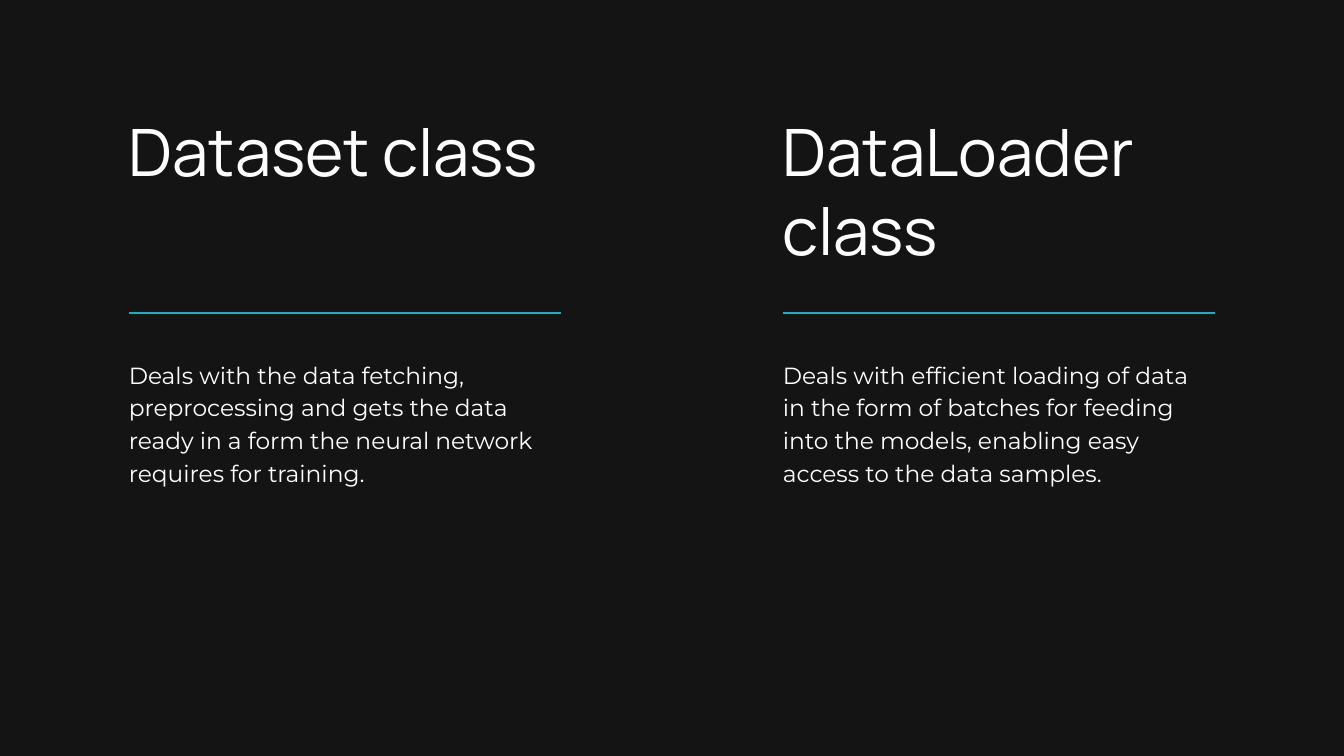
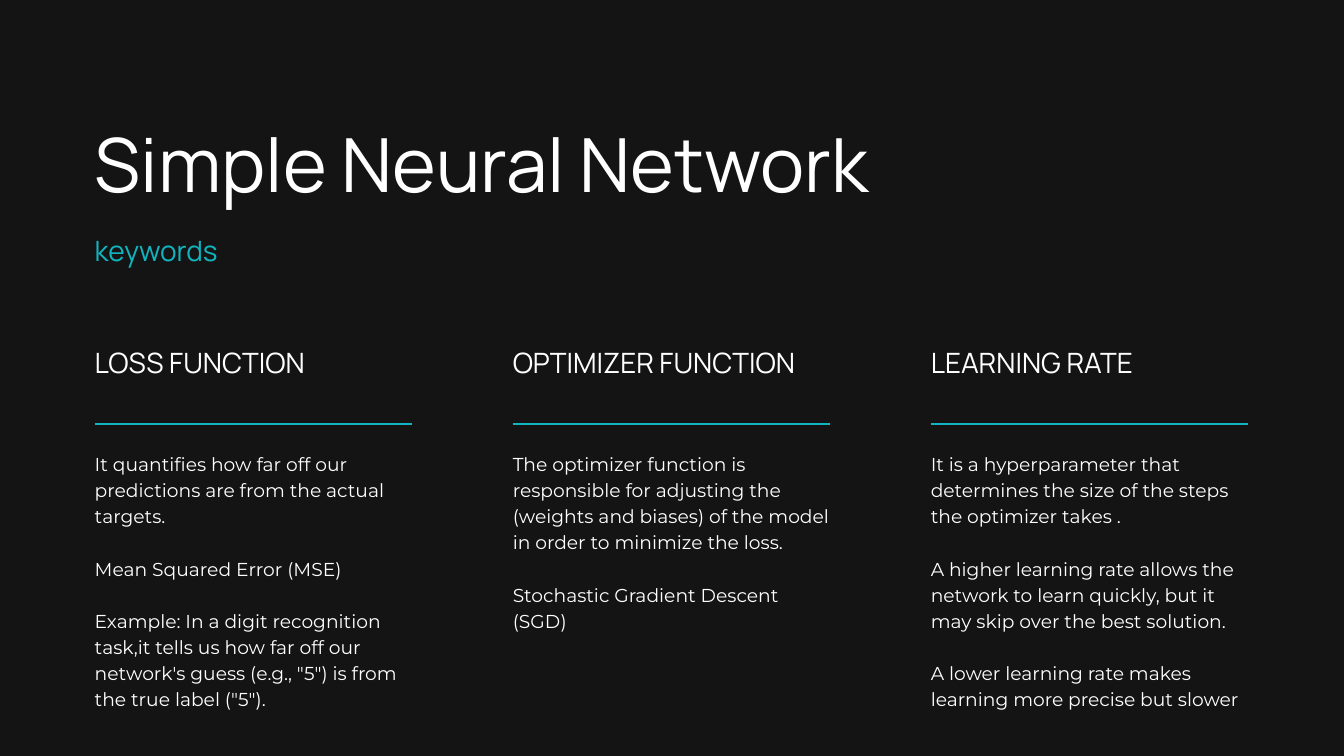
from lxml import etree
from pptx import Presentation, util as u
from pptx.dml.color import RGBColor
from pptx.enum import shapes, text
from pptx.oxml import ns, parse_xml

BACKGROUND, WHITE, TEAL = "141414", "FFFFFF", "10B5BF"
HEADING_FONT, BODY_FONT = "Manrope", "Montserrat"
PLAIN_TABLE = "{2D5ABB26-0587-4C30-8999-92F81FD0307C}"

CLASSES = [
    ("Dataset class",
     "Deals with the data fetching, preprocessing and gets the data ready in a form "
     "the neural network requires for training."),
    ("DataLoader class",
     "Deals with efficient loading of data in the form of batches for feeding into "
     "the models, enabling easy access to the data samples."),
]
KEYWORDS = [
    ("LOSS FUNCTION", [
        "It quantifies how far off our predictions are from the actual targets.",
        "Mean Squared Error (MSE)",
        "Example: In a digit recognition task,it tells us how far off our network's "
        "guess (e.g., \"5\") is from the true label (\"5\")."]),
    ("OPTIMIZER FUNCTION", [
        "The optimizer function is responsible for adjusting the (weights and biases) "
        "of the model in order to minimize the loss.",
        "Stochastic Gradient Descent (SGD)"]),
    ("LEARNING RATE", [
        "It is a hyperparameter that determines the size of the steps the optimizer takes .",
        "A higher learning rate allows the network to learn quickly, but it may skip "
        "over the best solution.",
        "A lower learning rate makes learning more precise but slower"]),
]


def color(value):
    return RGBColor.from_string(value)


class Deck:
    """Hold the shared style and add elements to the current slide."""

    def __init__(self):
        self.presentation = Presentation()
        self.presentation.slide_width = u.Pt(1440)
        self.presentation.slide_height = u.Pt(810)
        fill = self.presentation.slide_master.background.fill
        fill.solid()
        fill.fore_color.rgb = color(BACKGROUND)
        self.slide = None

    def add_slide(self):
        self.slide = self.presentation.slides.add_slide(self.presentation.slide_layouts[5])

    def set_paragraphs(self, frame, paragraphs, size, leading, font=HEADING_FONT, ink=WHITE):
        frame.word_wrap = True
        for index, content in enumerate(paragraphs):
            paragraph = frame.add_paragraph() if index else frame.paragraphs[0]
            paragraph.text = content
            paragraph.alignment = text.PP_ALIGN.LEFT
            paragraph.line_spacing = u.Pt(leading)
            paragraph.space_before = u.Pt(leading if index else 0)
            paragraph.font.size = u.Pt(size)
            paragraph.font.name = font
            paragraph.font.color.rgb = color(ink)

    def fill_box(self, shape, content, size, leading, **style):
        frame = shape.text_frame
        frame.margin_left = frame.margin_right = frame.margin_top = frame.margin_bottom = 0
        frame.vertical_anchor = text.MSO_ANCHOR.TOP
        frame.auto_size = text.MSO_AUTO_SIZE.NONE
        self.set_paragraphs(frame, [content], size, leading, **style)

    def title(self, box, content, size, leading):
        shape = self.slide.shapes.title
        shape.left, shape.top, shape.width, shape.height = map(u.Pt, box)
        self.fill_box(shape, content, size, leading)

    def text(self, box, content, size, leading, **style):
        shape = self.slide.shapes.add_textbox(*map(u.Pt, box))
        self.fill_box(shape, content, size, leading, **style)

    def rule(self, left, top, width):
        line = self.slide.shapes.add_connector(
            shapes.MSO_CONNECTOR.STRAIGHT, *map(u.Pt, (left, top, left + width, top)))
        line.line.color.rgb = color(TEAL)
        line.line.width = u.Pt(2)
        etree.SubElement(line._element.spPr, ns.qn("a:effectLst"))

    def underline(self, cell):
        cell._tc.get_or_add_tcPr().insert(0, parse_xml(
            f'<a:lnB {ns.nsdecls("a")} w="{u.Pt(1.5)}"><a:solidFill>'
            f'<a:srgbClr val="{TEAL}"/></a:solidFill></a:lnB>'))

    def keyword_table(self, left, top, keywords, column, gap, heights):
        count = 2 * len(keywords) - 1
        widths = [gap if index % 2 else column for index in range(count)]
        table = self.slide.shapes.add_table(
            len(heights), count, *map(u.Pt, (left, top, sum(widths), sum(heights)))).table
        table.first_row = table.horz_banding = False
        table._tbl.tblPr.find(ns.qn("a:tableStyleId")).text = PLAIN_TABLE
        for table_column, width in zip(table.columns, widths):
            table_column.width = u.Pt(width)
        for row, height in zip(table.rows, heights):
            row.height = u.Pt(height)
        for cell in table.iter_cells():
            cell.fill.background()
            cell.margin_left = cell.margin_right = cell.margin_top = cell.margin_bottom = 0
        for index, (name, notes) in enumerate(keywords):
            heading, body = table.cell(0, 2 * index), table.cell(1, 2 * index)
            heading.vertical_anchor = text.MSO_ANCHOR.MIDDLE
            self.underline(heading)
            self.set_paragraphs(heading.text_frame, [name], 30, 36)
            body.vertical_anchor = text.MSO_ANCHOR.TOP
            body.margin_top = u.Pt(28)
            self.set_paragraphs(body.text_frame, notes, 20, 28, font=BODY_FONT)


def main():
    deck = Deck()

    deck.add_slide()
    width = 463.5
    for index, (name, description) in enumerate(CLASSES):
        left = 138 + index * 700.8
        add_heading = deck.text if index else deck.title
        add_heading((left, 119.5, width, 166.5), name, 70, 84)
        deck.text((left, 381.6, width, 136), description, 25, 35, font=BODY_FONT)
        deck.rule(left, 335.5, width)

    deck.add_slide()
    left = 101.5
    deck.keyword_table(left, 327.6, KEYWORDS, 340.4, 107.5, (126.7, 337.7))
    deck.text((left, 249.8, 1168, 36.7), "keywords", 30, 36, ink=TEAL)
    deck.title((left, 126.7, 1168, 96.5), "Simple Neural Network", 80, 96)

    deck.presentation.save("out.pptx")


if __name__ == "__main__":
    main()
